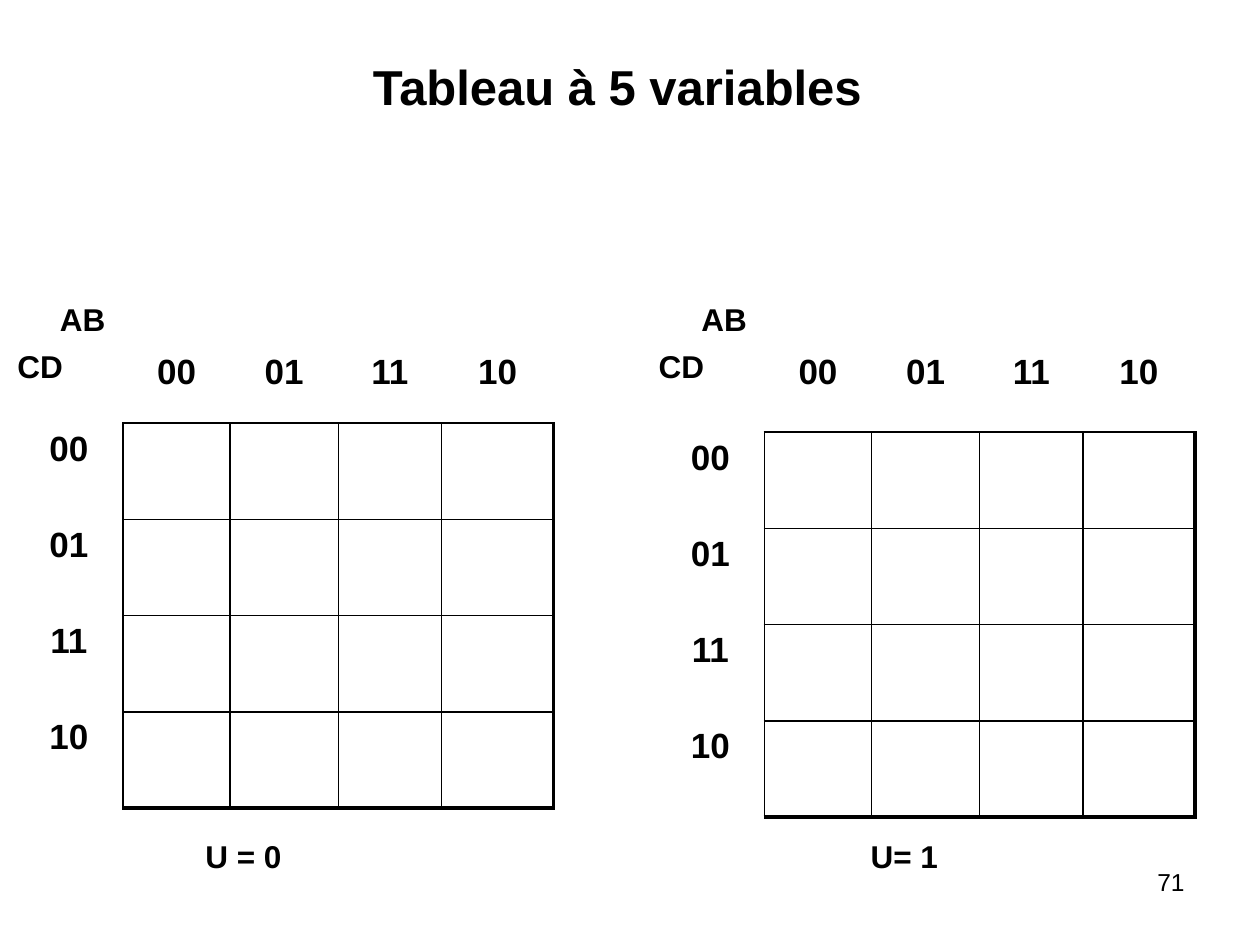
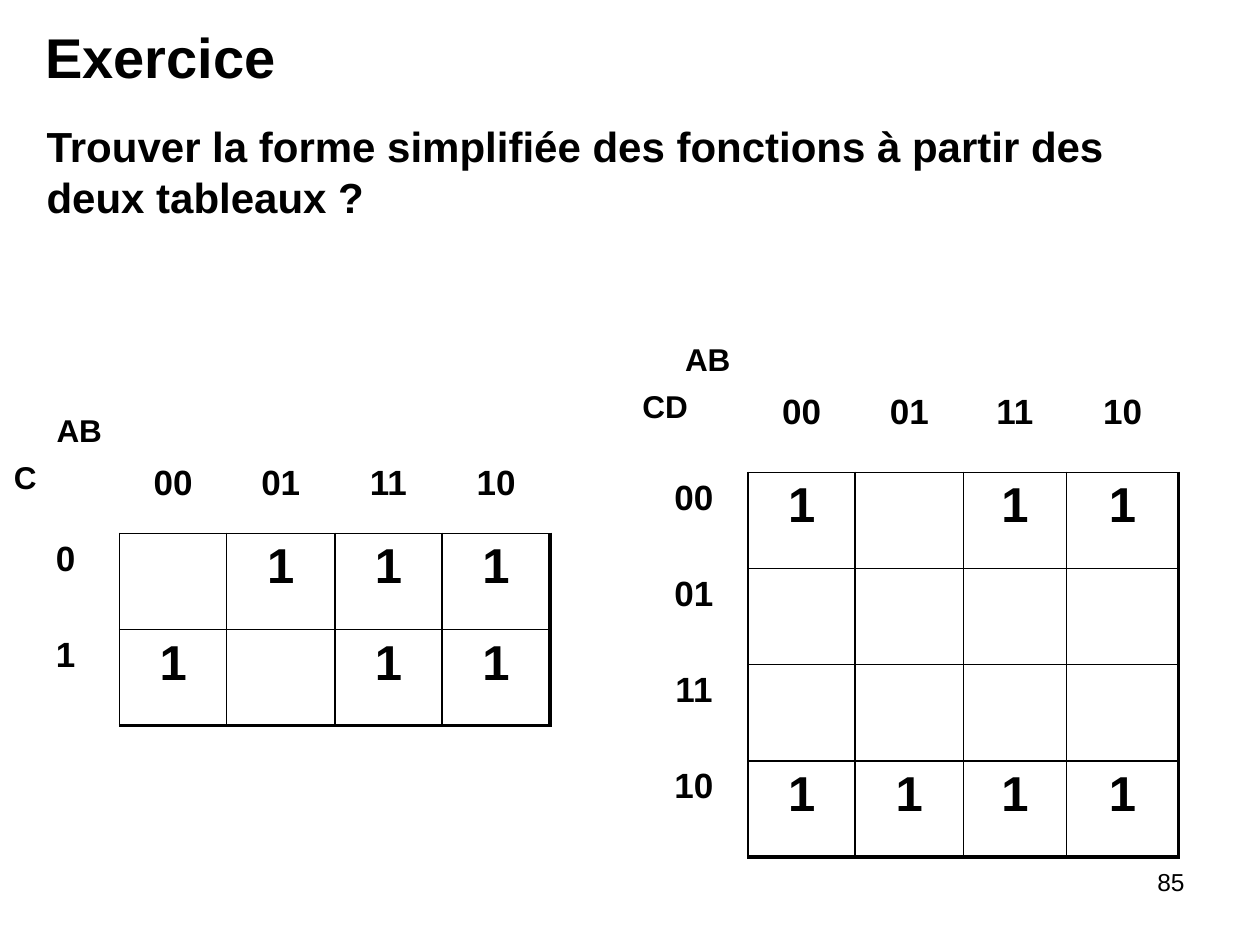
from lxml.etree import SubElement
from pptx import Presentation
from pptx.dml.color import RGBColor
from pptx.enum.text import MSO_ANCHOR as Anchor, MSO_AUTO_SIZE as AutoSize, PP_ALIGN as Align
from pptx.oxml import parse_xml
from pptx.oxml.ns import nsdecls, qn
from pptx.util import Cm, Pt

BLACK = RGBColor(0x00, 0x00, 0x00)
FONT = "Arial"
TITLE_ONLY = 5
GRAY_CODE = ("00", "01", "11", "10")
THIN, THICK = 1, 2.25
UNEVEN_COLUMNS = (2.18, 2.16, 2.18, 2.08, 2.26)
EVEN_COLUMNS = (2.18, 2.16, 2.18, 2.16, 2.18)
ROW_HEIGHT = 1.94
HEADER_TOP_MARGIN = 1.04
EDGES = "LRTB"


def write_text(frame, text, size=18, bold=True, align=Align.LEFT, anchor=Anchor.TOP):
    frame.word_wrap = True
    frame.vertical_anchor = anchor
    paragraph = frame.paragraphs[0]
    paragraph.alignment = align
    run = paragraph.add_run()
    run.text = text
    run.font.name = FONT
    run.font.size = Pt(size)
    run.font.bold = bold
    run.font.color.rgb = BLACK


def add_label(slide, text, box, **text_format):
    label = slide.shapes.add_textbox(*map(Cm, box))
    write_text(label.text_frame, text, **text_format)


def add_titled_slide(deck, title, box, page_number, **title_format):
    slide = deck.slides.add_slide(deck.slide_layouts[TITLE_ONLY])
    heading = slide.shapes.title
    heading.left, heading.top, heading.width, heading.height = map(Cm, box)
    heading.text_frame.auto_size = AutoSize.NONE
    write_text(heading.text_frame, title, anchor=Anchor.MIDDLE, **title_format)
    add_label(slide, page_number, (18.2, 17.35, 5.93, 1.32),
              size=14, bold=False, align=Align.RIGHT)
    return slide


def set_borders(cell, widths):
    properties = cell._tc.get_or_add_tcPr()
    for position, edge in enumerate(edge for edge in EDGES if edge in widths):
        line = parse_xml(f'<a:ln{edge} {nsdecls("a")} w="{Pt(widths[edge])}"/>')
        fill = SubElement(line, qn("a:solidFill"))
        SubElement(fill, qn("a:srgbClr"), val=str(BLACK))
        properties.insert(position, line)


def border_widths(row, column, last_row, last_column):
    if row and column:
        return {"L": THIN, "T": THIN,
                "R": THICK if column == last_column else THIN,
                "B": THICK if row == last_row else THIN}
    if row:
        return {"R": THIN}
    return {"B": THIN} if column else {}


def add_karnaugh_map(slide, left, top, row_variables, row_codes, header_height,
                     columns=UNEVEN_COLUMNS, ones=()):
    last_row, last_column = len(row_codes), len(GRAY_CODE)
    height = header_height + last_row * ROW_HEIGHT
    karnaugh = slide.shapes.add_table(
        last_row + 1, last_column + 1,
        Cm(left), Cm(top), Cm(sum(columns)), Cm(height)).table
    karnaugh.first_row = karnaugh.horz_banding = False
    for column, width in zip(karnaugh.columns, columns):
        column.width = Cm(width)
    for index, row in enumerate(karnaugh.rows):
        row.height = Cm(ROW_HEIGHT if index else header_height)
        for column, cell in enumerate(row.cells):
            cell.fill.background()
            set_borders(cell, border_widths(index, column, last_row, last_column))

    for column, code in enumerate(GRAY_CODE, 1):
        header = karnaugh.cell(0, column)
        header.margin_top = Cm(HEADER_TOP_MARGIN)
        write_text(header.text_frame, code, size=20, align=Align.CENTER)
    for row, code in enumerate(row_codes, 1):
        write_text(karnaugh.cell(row, 0).text_frame, code, size=20, align=Align.CENTER)
    for row_code, column_code in ones:
        cell = karnaugh.cell(row_codes.index(row_code) + 1, GRAY_CODE.index(column_code) + 1)
        write_text(cell.text_frame, "1", size=28, align=Align.CENTER)

    add_label(slide, "AB", (left + 0.66, top - 0.15, 2.16, 1.02))
    add_label(slide, row_variables, (left - 0.2, top + 0.8, 1.8, 1.02))


def build_five_variables(deck):
    slide = add_titled_slide(deck, "Tableau à 5 variables", (0, 0.76, 24.89, 1.96), "71",
                             size=28, align=Align.CENTER)
    for left, header_height, caption, caption_left in (
            (0.3, 2.46, "U = 0", 3.89), (13.23, 2.64, "U= 1", 17.3)):
        add_karnaugh_map(slide, left, 6.07, "CD", GRAY_CODE, header_height)
        add_label(slide, caption, (caption_left, 16.74, 4.8, 1.02))


def build_exercise(deck):
    slide = add_titled_slide(deck, "Exercice", (0.66, 0.36, 22.86, 1.55), "85", size=32)
    add_label(slide, "Trouver la forme simplifiée des fonctions à partir des deux tableaux ?",
              (0.69, 2.31, 23.6, 2.29), size=24)
    add_karnaugh_map(slide, 0.23, 8.31, "C", ("0", "1"), 2.44, columns=EVEN_COLUMNS,
                     ones=[("0", "01"), ("0", "11"), ("0", "10"),
                           ("1", "00"), ("1", "11"), ("1", "10")])
    add_karnaugh_map(slide, 12.9, 6.88, "CD", GRAY_CODE, 2.64,
                     ones=[("00", "00"), ("00", "11"), ("00", "10")]
                     + [("10", code) for code in GRAY_CODE])


def main():
    deck = Presentation()
    deck.slide_width, deck.slide_height = Cm(25.4), Cm(19.05)
    build_five_variables(deck)
    build_exercise(deck)
    deck.save("out.pptx")


if __name__ == "__main__":
    main()
